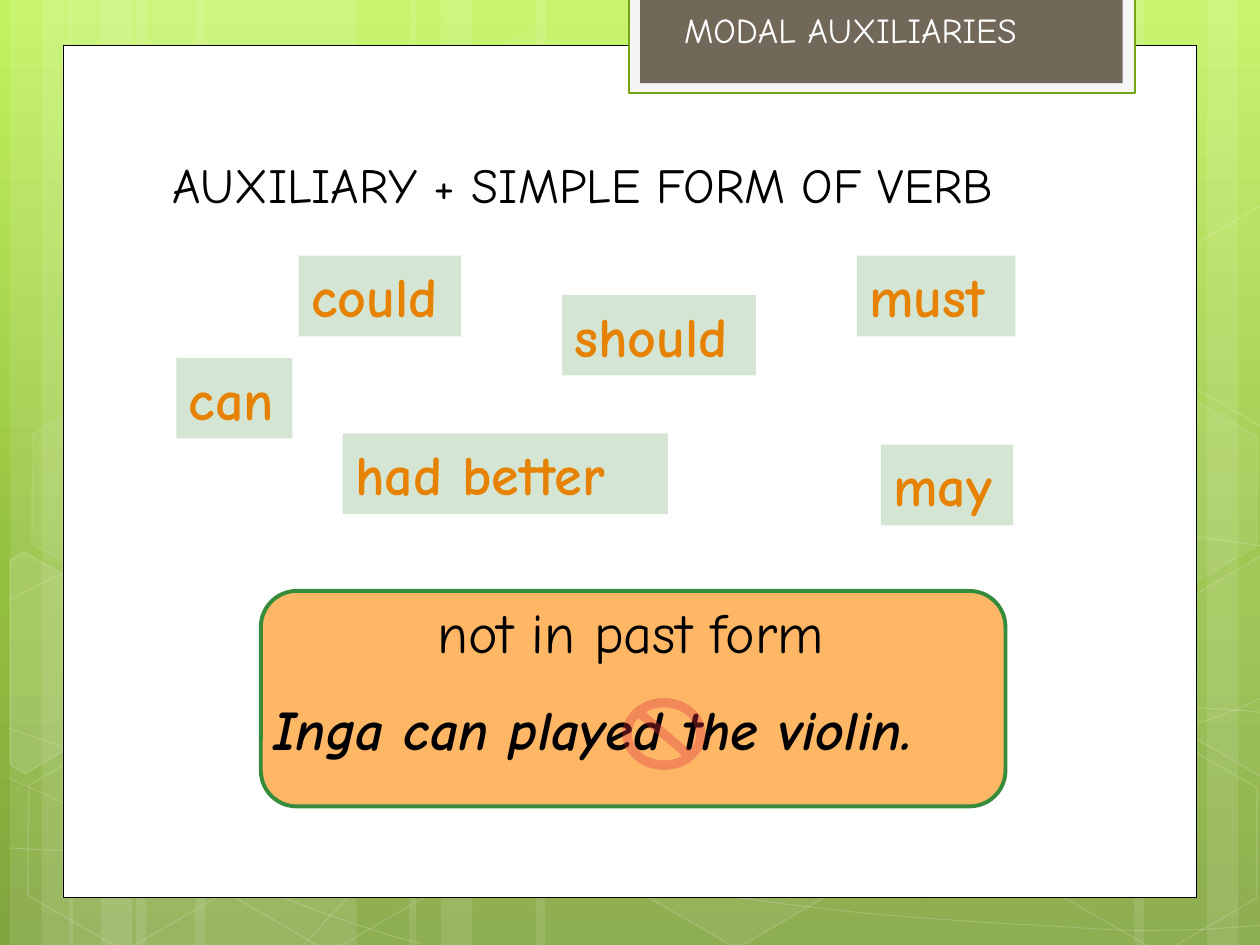
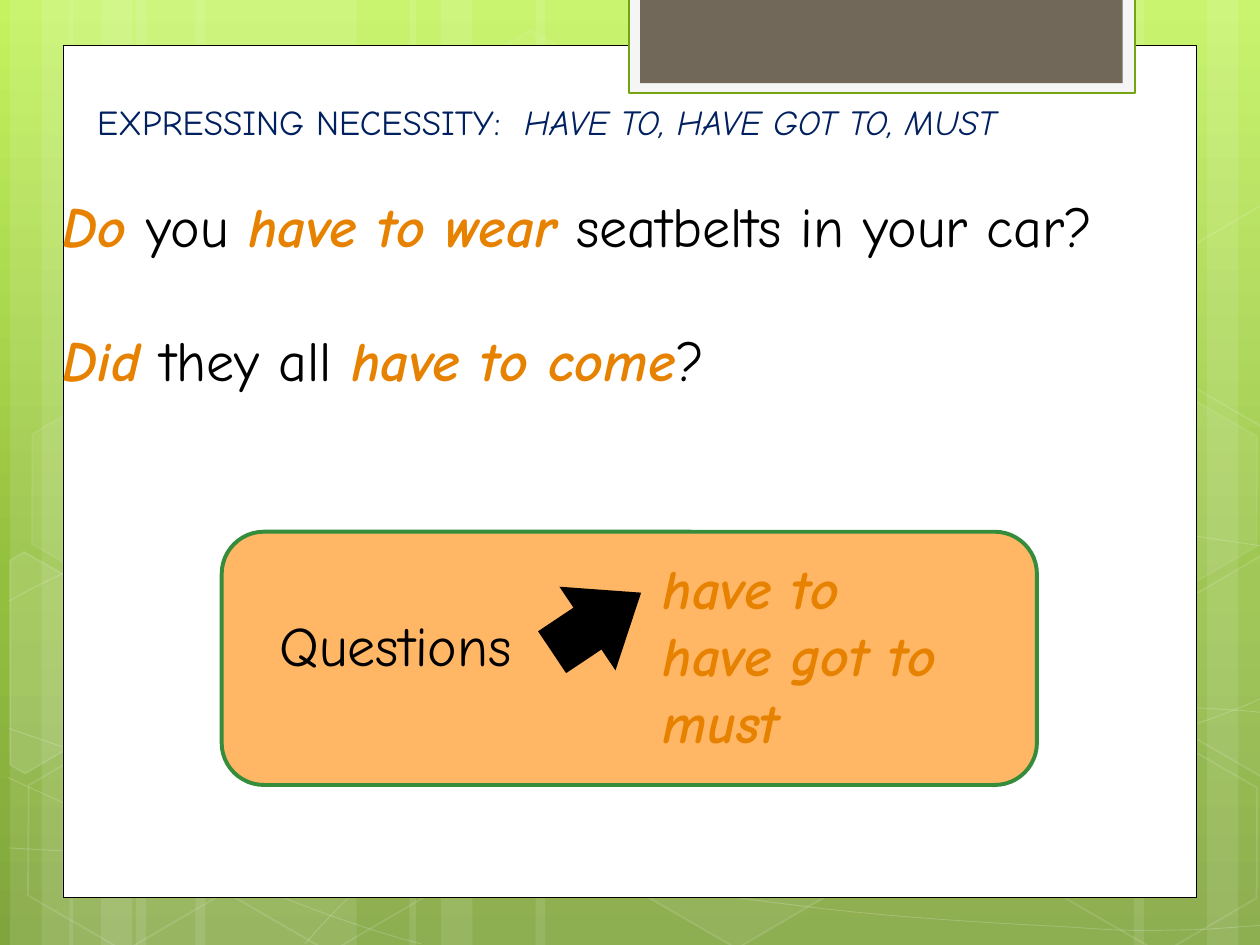
from copy import deepcopy
from dataclasses import dataclass
from typing import NamedTuple, Optional

from pptx import Presentation
from pptx.dml.color import RGBColor
from pptx.enum.shapes import MSO_SHAPE
from pptx.enum.text import MSO_ANCHOR, MSO_AUTO_SIZE, PP_ALIGN
from pptx.oxml.ns import qn
from pptx.util import Inches, Pt

# The grid: 100 columns by 75 rows of square cells
COLS, ROWS = 100, 75
WIDE, HIGH = Inches(10), Inches(7.5)
CELL = WIDE / COLS

WHITE = RGBColor(0xFF, 0xFF, 0xFF)
BLACK = RGBColor(0x00, 0x00, 0x00)
LIME = RGBColor(0xC3, 0xF3, 0x5F)
LEAF = RGBColor(0x93, 0xBF, 0x3F)
MOSS = RGBColor(0x81, 0xA5, 0x3E)
PALE = RGBColor(0xF5, 0xF5, 0xF5)
EDGE = RGBColor(0x74, 0xA5, 0x10)
TAUPE = RGBColor(0x71, 0x68, 0x5A)
PEACH = RGBColor(0xFF, 0xB6, 0x65)
GREEN = RGBColor(0x35, 0x8C, 0x3A)
GRASS = RGBColor(0x2B, 0x85, 0x25)
AMBER = RGBColor(0xE6, 0x82, 0x00)
NAVY = RGBColor(0x00, 0x20, 0x60)
RED = RGBColor(0xDC, 0x30, 0x3D)

FONT = "Comic Neue"
BODY, HEAD, TITLE = 32, 28, 20


class Box(NamedTuple):
    col: float
    row: float
    wide: float
    high: float


class Ink(NamedTuple):
    color: RGBColor
    alpha: int = 100


class Run(NamedTuple):
    text: str
    color: RGBColor = BLACK
    bold: bool = False
    slant: bool = False
    size: int = BODY


@dataclass(frozen=True)
class Look:
    fill: Optional[Ink] = None
    line: Optional[Ink] = None
    width: float = 1


@dataclass(frozen=True)
class Chip:
    word: str
    col: float
    row: float
    wide: float


@dataclass(frozen=True)
class Hex:
    col: float
    row: float
    fill: int
    line: int


@dataclass(frozen=True)
class Shard:
    """A hexagon cut off by the side of the slide."""
    points: tuple
    fill: int


CARD = Look(Ink(PEACH), Ink(GREEN), 2.25)
CHIP = Look(Ink(GRASS, 20))
STRIP = Look(Ink(WHITE, 10))
HAIR = Look(line=Ink(WHITE, 20), width=0.5)

STRIPS = (
    (10.8, 17.5), (0.8, 5), (3.3, 8.3),
    (15.5, 17.5), (5.5, 5), (8, 8.3),
    (73.3, 17.5), (95.8, 5), (90, 8.3),
    (42.5, 30.8), (32.5, 5), (35, 8.3),
)

# Each curve: a start, then two handles and an end for every bend
CURVES = (
    ((0.7, 67.3), (6.1, 67.6), (11.5, 67.9), (19, 67.8), (26.5, 67.7),
     (35.8, 67.5), (45.8, 66.5), (55.8, 65.5), (70, 63.6), (79.2, 61.7),
     (88.3, 59.8), (97.7, 56.8), (100.7, 55.1)),
    ((0.7, 47.7), (3.6, 46.1), (6.5, 44.6), (12.1, 43.1), (17.8, 41.6),
     (25.9, 39.4), (34.7, 38.7), (43.6, 38), (54.4, 37.9), (65.4, 38.7),
     (76.4, 39.5), (94.7, 42.6), (100.7, 43.4)),
    ((0.6, 61.7), (12.7, 67.2), (24.7, 72.7), (33.4, 74.9)),
    ((0.7, 57.8), (3.8, 58.9), (7, 60), (12.8, 61.6), (18.6, 63.1),
     (27.3, 65.6), (35.7, 67.3), (44, 69), (54.5, 70.8), (62.8, 71.8),
     (71.1, 72.9), (80, 73.3), (85.3, 73.6), (90.5, 74), (91.9, 73.8),
     (94.5, 73.8), (97.1, 73.7), (98.9, 73.5), (100.7, 73.4)),
    ((24.2, 74.9), (26, 72.9), (27.8, 70.9), (30.2, 69.1), (32.6, 67.3),
     (36, 65.3), (38.8, 63.9), (41.6, 62.5), (43.3, 61.9), (47, 60.9),
     (50.6, 59.9), (57.3, 58.5), (60.8, 57.8), (64.4, 57.1), (64.9, 57.1),
     (68, 56.9), (71.1, 56.6), (76, 56.3), (79.4, 56.2), (82.9, 56.1),
     (88.6, 56.2), (88.6, 56.2), (90.8, 56.2), (93.1, 56.2), (95.3, 56.2),
     (97.1, 56.3), (98.8, 56.4), (99.7, 56.5), (100.6, 56.6), (100.3, 56.5),
     (100.6, 56.6)),
)

HEXES = (
    Hex(33.4, 3.6, 4, 8),
    Hex(49.7, 58.9, 6, 12),
    Hex(1.1, 59.1, 0, 12),
    Hex(1.4, 31.2, 7, 8),
    Hex(17.4, 59.2, 0, 12),
    Hex(83.4, 59.3, 0, 12),
    Hex(83.4, 31.4, 7, 8),
)

SHARDS = (
    Shard(((0.8, 44.5), (1.9, 43.8), (9.6, 48.2), (9.5, 57),
           (2, 61.4), (0.8, 60.7)), 10),
    Shard(((92.6, 48.5), (100.1, 44.1), (100.9, 44.6), (100.9, 61.3),
           (100.2, 61.7), (92.6, 57.3)), 4),
    Shard(((92.6, 20.7), (100.1, 16.3), (101, 16.8), (100.9, 33.5),
           (100.2, 33.9), (92.6, 29.5)), 0),
)

CHIPS = (
    Chip("can", 14, 28.4, 9.2),
    Chip("could", 23.7, 20.3, 12.9),
    Chip("should", 44.6, 23.4, 15.4),
    Chip("had better", 27.2, 34.4, 25.8),
    Chip("must", 68, 20.3, 12.6),
    Chip("may", 69.9, 35.3, 10.5),
)


def emu(cells: float) -> int:
    return round(cells * CELL)


def tint(shape, fill, ink: Optional[Ink], route: str) -> None:
    """Fill with a solid ink, or with none; route leads to its XML."""
    if ink is None or ink.alpha == 0:
        fill.background()
        return
    fill.solid()
    fill.fore_color.rgb = ink.color
    if ink.alpha < 100:
        node = shape._element.spPr.xpath(route + "a:solidFill/a:srgbClr")[0]
        alpha = node.makeelement(qn("a:alpha"), {"val": str(ink.alpha * 1000)})
        node.append(alpha)


def dress(shape, look: Look) -> None:
    shape.shadow.inherit = False
    tint(shape, shape.fill, look.fill, "")
    tint(shape, shape.line.fill, look.line, "a:ln/")
    if look.line:
        shape.line.width = Pt(look.width)


def draw(slide, kind: MSO_SHAPE, box: Box, look: Look, turn: float = 0,
         bends: tuple = ()):
    shape = slide.shapes.add_shape(kind, *map(emu, box))
    for n, bend in enumerate(bends):
        shape.adjustments[n] = bend
    shape.rotation = turn
    dress(shape, look)
    return shape


def trace(slide, points: tuple, look: Look, close: bool = False):
    """Join grid points into one outline."""
    spots = [(emu(x), emu(y)) for x, y in points]
    pen = slide.shapes.build_freeform(*spots[0])
    pen.add_line_segments(spots[1:], close=close)
    shape = pen.convert_to_shape()
    dress(shape, look)
    return shape


def bend(shape) -> None:
    """Turn every three straight segments into one cubic bend."""
    legs = shape._element.spPr.xpath(".//a:lnTo")
    for n in range(0, len(legs), 3):
        cubic = legs[n].makeelement(qn("a:cubicBezTo"))
        legs[n].addprevious(cubic)
        for leg in legs[n:n + 3]:
            cubic.append(leg[0])
            leg.getparent().remove(leg)


def write(shape, *lines: tuple, gap: float = 0) -> None:
    """Set lines of runs, with a gap in points between the lines."""
    frame = shape.text_frame
    frame.word_wrap = True
    frame.auto_size = MSO_AUTO_SIZE.NONE
    frame.vertical_anchor = MSO_ANCHOR.TOP
    for n, line in enumerate(lines):
        para = frame.add_paragraph() if n else frame.paragraphs[0]
        para.alignment = PP_ALIGN.LEFT
        if n and gap:
            para.space_before = Pt(gap)
        for part in line:
            run = para.add_run()
            run.text = part.text
            font = run.font
            font.name, font.size = FONT, Pt(part.size)
            font.bold, font.italic = part.bold, part.slant
            font.color.rgb = part.color


def label(slide, box: Box, *lines: tuple, gap: float = 0) -> None:
    write(slide.shapes.add_textbox(*map(emu, box)), *lines, gap=gap)


def key(text: str) -> Run:
    return Run(text, AMBER, bold=True, slant=True)


def set_back(master) -> None:
    """Give the master its green gradient."""
    fill = master.background.fill
    fill.gradient()
    fill.gradient_angle = 270
    stops = next(master.element.iter(qn("a:gsLst")))
    stops.append(deepcopy(stops[-1]))
    shades = ((LIME, 0), (LEAF, 0.62), (MOSS, 1))
    for stop, (color, spot) in zip(fill.gradient_stops, shades):
        stop.color.rgb = color
        stop.position = spot


def add_scene(slide, master) -> None:
    """Draw strips, curves, hexagons, page and tab; hand them to the master."""
    for col, wide in STRIPS:
        draw(slide, MSO_SHAPE.RECTANGLE, Box(col, 0, wide, ROWS), STRIP)
    for knots in CURVES:
        bend(trace(slide, knots, HAIR))
    for item in HEXES:
        look = Look(Ink(WHITE, item.fill), Ink(WHITE, item.line))
        draw(slide, MSO_SHAPE.HEXAGON, Box(item.col, item.row, 17.5, 15.2),
             look, turn=30, bends=(0.285,))
    for shard in SHARDS:
        look = Look(Ink(WHITE, shard.fill), Ink(WHITE, 12))
        trace(slide, shard.points, look, close=True)
    for box, look in (
        (Box(5, 3.6, 90, 67.6), Look(Ink(WHITE), Ink(BLACK), 0.5)),
        (Box(49.9, -0.2, 40.2, 7.6), Look(Ink(PALE), Ink(EDGE), 1.25)),
        (Box(50.8, -0.2, 38.3, 6.8), Look(Ink(TAUPE))),
    ):
        draw(slide, MSO_SHAPE.RECTANGLE, box, look)
    parts = [s for s in slide.shapes if not s.is_placeholder]
    for n, part in enumerate(parts):
        part._element.nvSpPr.cNvPr.set("id", str(100 + n))
        master.shapes._spTree.insert(2 + n, part._element)


def set_title(slide, box: Box, *runs: Run) -> None:
    title = slide.shapes.title
    title.left, title.top, title.width, title.height = map(emu, box)
    write(title, runs)


def fill_modals(slide) -> None:
    set_title(slide, Box(53.3, 0.2, 34.2, 4.4),
              Run("MODAL AUXILIARIES", WHITE, size=TITLE))
    label(slide, Box(12.7, 11.8, 74.6, 5.7),
          (Run("AUXILIARY + SIMPLE FORM OF VERB", size=HEAD),))
    draw(slide, MSO_SHAPE.ROUNDED_RECTANGLE, Box(20.7, 46.9, 59.1, 17.1), CARD)
    label(slide, Box(33.7, 46.9, 35.8, 6.4), (Run("not in past form"),))
    label(slide, Box(20.7, 54.6, 60.2, 6.4),
          (Run("Inga can played the violin.", bold=True, slant=True),))
    draw(slide, MSO_SHAPE.NO_SYMBOL, Box(49.4, 55.4, 6.6, 5.7),
         Look(Ink(RED, 35)), bends=(0.13,))
    for chip in CHIPS:
        box = Box(chip.col, chip.row, chip.wide, 6.4)
        write(draw(slide, MSO_SHAPE.RECTANGLE, box, CHIP),
              (Run(chip.word, AMBER, bold=True),))


def fill_needs(slide) -> None:
    set_title(slide, Box(6.7, 7.5, 89.5, 4.4),
              Run("EXPRESSING NECESSITY:  ", NAVY, size=TITLE),
              Run("HAVE TO, HAVE GOT TO, MUST", NAVY, slant=True, size=TITLE))
    label(slide, Box(4, 14.7, 92.8, 27.9),
          (key("Do "), Run("you "), key("have to wear"),
           Run(" seatbelts in your car?")),
          (key("Did "), Run("they all "), key("have to come"), Run("?")),
          gap=38.3)
    draw(slide, MSO_SHAPE.ROUNDED_RECTANGLE, Box(17.6, 42.2, 64.7, 20.1), CARD)
    label(slide, Box(21.2, 48, 23.2, 6.4), (Run("Questions"),))
    label(slide, Box(51.6, 43.4, 27.1, 17.2),
          *((key(form),) for form in ("have to", "have got to", "must")))
    draw(slide, MSO_SHAPE.RIGHT_ARROW, Box(43.1, 45.4, 8.5, 8),
         Look(Ink(BLACK)), turn=326.2, bends=(0.5, 0.64))


def main() -> None:
    deck = Presentation()
    deck.slide_width, deck.slide_height = WIDE, HIGH
    plain = deck.slide_layouts.get_by_name("Title Only")
    first, second = (deck.slides.add_slide(plain) for _ in range(2))
    set_back(deck.slide_master)
    add_scene(first, deck.slide_master)
    fill_modals(first)
    fill_needs(second)
    deck.save("out.pptx")


if __name__ == "__main__":
    main()
